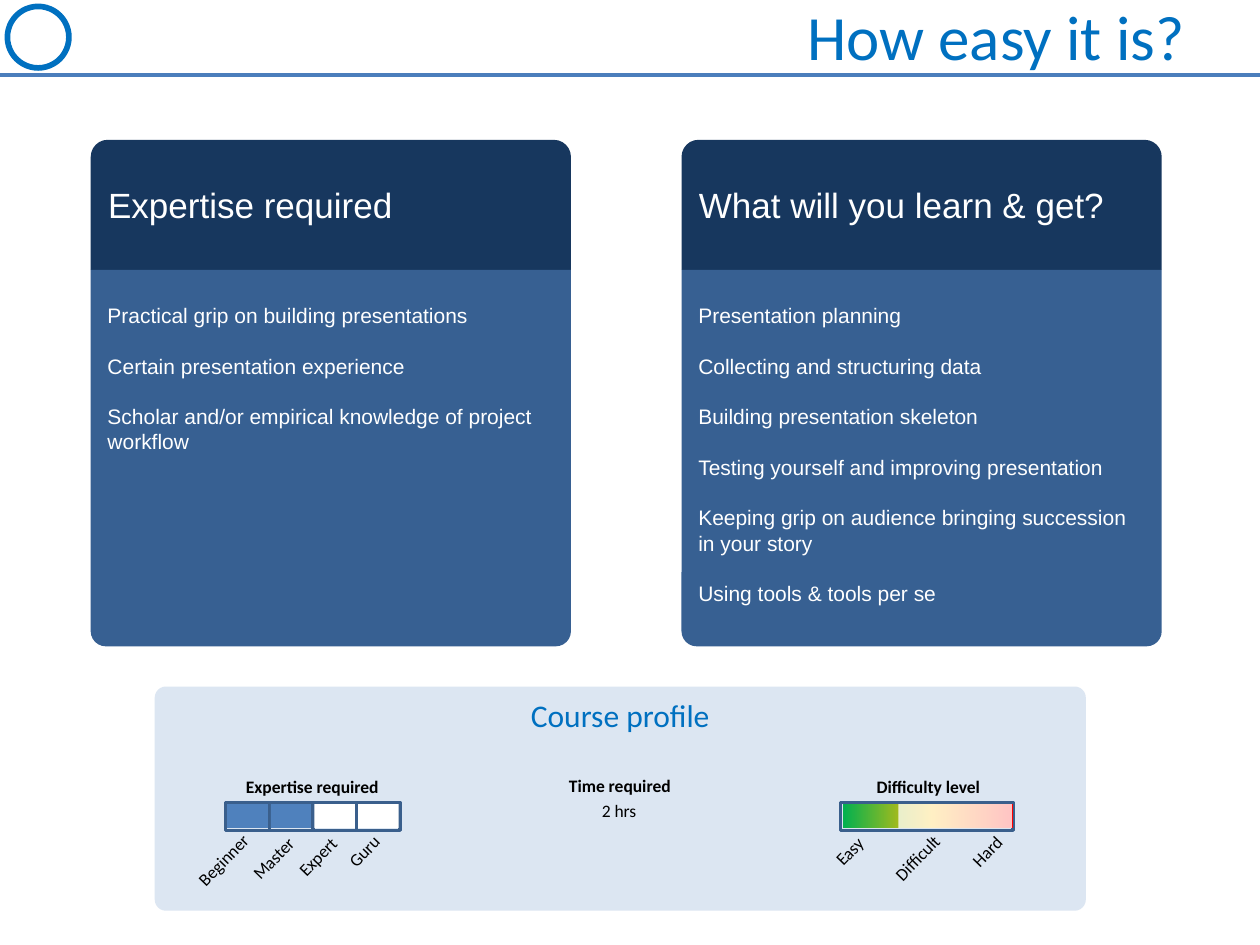
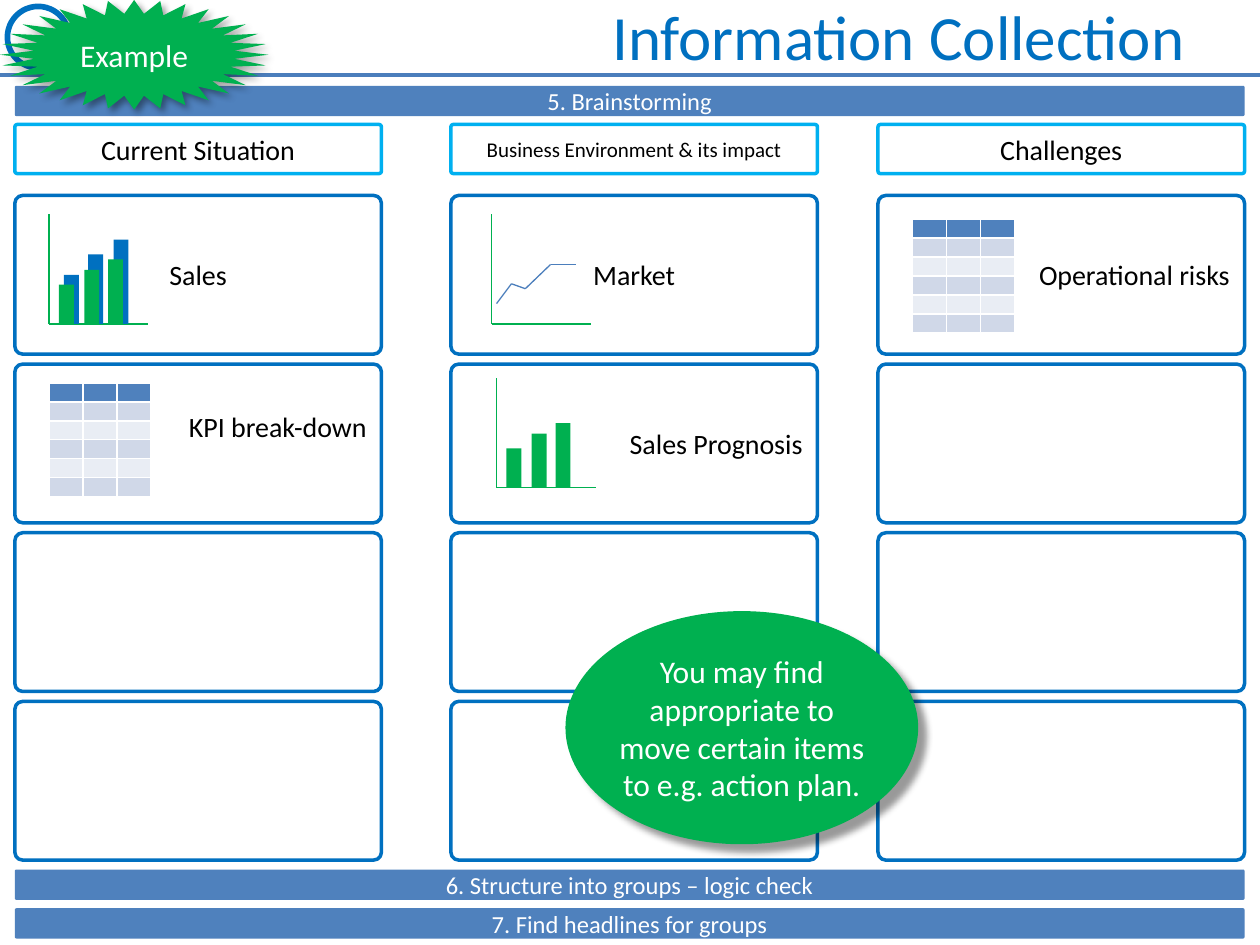
from lxml import etree
from pptx import Presentation
from pptx.dml.color import RGBColor
from pptx.enum import shapes, text
from pptx.oxml.ns import qn
from pptx.util import Cm, Pt

COLORS = {
    "title": "0070C0", "rule": "4B7EBC", "band": "4F81BD", "cyan": "00B0F0",
    "green": "00B050", "navy": "17375E", "steel": "376092", "edge": "3A5F8C",
    "panel": "DCE6F2", "white": "FFFFFF", "black": "000000",
    "amber": "FFC000", "red": "FF0000", "row_dark": "D0D8E8", "row_light": "E9EDF4",
}
FORM = shapes.MSO_SHAPE
LEFT, CENTER, RIGHT = text.PP_ALIGN.LEFT, text.PP_ALIGN.CENTER, text.PP_ALIGN.RIGHT
TOP, MIDDLE = text.MSO_ANCHOR.TOP, text.MSO_ANCHOR.MIDDLE


def block(slide, form, box, fill=None, line=None, width=2, adjust=()):
    """Add a preset shape; box is left, top, width, height in cm."""
    shape = slide.shapes.add_shape(form, *map(Cm, box))
    shape.shadow.inherit = False
    if fill:
        shape.fill.solid()
        shape.fill.fore_color.rgb = RGBColor.from_string(COLORS[fill])
    else:
        shape.fill.background()
    if line:
        shape.line.color.rgb = RGBColor.from_string(COLORS[line])
        shape.line.width = Pt(width)
    else:
        shape.line.fill.background()
    for index, value in enumerate(adjust):
        shape.adjustments[index] = value
    return shape


def write(shape, lines, size, color="black", align=CENTER, anchor=MIDDLE,
          font="Calibri", bold=False, wrap=True, gap=0):
    frame = shape.text_frame
    frame.word_wrap = wrap
    frame.vertical_anchor = anchor
    frame.text = "\n".join(lines)
    for paragraph in frame.paragraphs:
        paragraph.alignment = align
        paragraph.space_after = Pt(gap)
        paragraph.font.name = font
        paragraph.font.size = Pt(size)
        paragraph.font.bold = bold
        paragraph.font.color.rgb = RGBColor.from_string(COLORS[color])
    return frame


prs = Presentation()
prs.slide_width, prs.slide_height = Cm(25.4), Cm(19.05)
ease, collection = [prs.slides.add_slide(prs.slide_layouts[6]) for _ in range(2)]

# Header rules, chart axes and market trend
AXIS_HEIGHT, AXIS_WIDTH = 2.21, 2
sales_axis, market_axis, prognosis_axis = (0.99, 6.53), (9.91, 6.53), (10.01, 9.83)
strokes = [(slide, (0, 1.52), (25.4, 1.52), "rule", 2.25) for slide in (ease, collection)]
for x, y in (sales_axis, market_axis, prognosis_axis):
    strokes.append((collection, (x, y - AXIS_HEIGHT), (x, y), "green", 0.75))
    strokes.append((collection, (x, y), (x + AXIS_WIDTH, y), "green", 0.75))
trend = [(10.01, 6.12), (10.31, 5.72), (10.59, 5.82), (11.1, 5.33), (11.61, 5.33)]
strokes += [(collection, a, b, "rule", 0.75) for a, b in zip(trend, trend[1:])]
for slide, start, end, color, width in strokes:
    stroke = slide.shapes.add_connector(shapes.MSO_CONNECTOR.STRAIGHT, *map(Cm, start + end))
    stroke.line.color.rgb = RGBColor.from_string(COLORS[color])
    stroke.line.width = Pt(width)
    etree.SubElement(stroke._element.spPr, qn("a:effectLst"))

# Emblem and title
for slide, title in ((ease, "How easy it is?"), (collection, "Information Collection")):
    block(slide, FORM.OVAL, (0.15, 0.13, 1.24, 1.24), line="title", width=3.25)
    heading = slide.shapes.add_textbox(Cm(1.27), Cm(-0.08), Cm(22.86), Cm(1.6))
    write(heading, [title], 36, "title", RIGHT)

# Slide 1: two cards
cards = [
    (1.83, "Expertise required", [
        "Practical grip on building presentations",
        "Certain presentation experience",
        "Scholar and/or empirical knowledge of project workflow"]),
    (13.74, "What will you learn & get?", [
        "Presentation planning",
        "Collecting and structuring data",
        "Building presentation skeleton",
        "Testing yourself and improving presentation",
        "Keeping grip on audience bringing succession in your story",
        "Using tools & tools per se"]),
]
for left, headline, points in cards:
    head = block(ease, FORM.ROUND_2_SAME_RECTANGLE, (left, 2.82, 9.68, 2.62), "navy",
                 adjust=(0.13, 0))
    write(head, [headline], 20, "white", LEFT, font="Arial").margin_top = 0
    body = block(ease, FORM.ROUND_2_SAME_RECTANGLE, (left, 5.44, 9.68, 7.59), "steel",
                 adjust=(0, 0.04))
    write(body, points, 12, "white", LEFT, TOP, "Arial", gap=14.5).margin_top = Cm(0.66)

# Course profile panel
profile = block(ease, FORM.ROUNDED_RECTANGLE, (3.12, 13.84, 18.77, 4.52), "panel",
                adjust=(0.05,))
write(profile, ["Course profile"], 18, "title", anchor=TOP)

captions = [
    ("Expertise required", 4.57, 15.52, 3.45, True),
    ("Time required", 11.1, 15.49, 2.79, True),
    ("2 hrs", 11.58, 16, 1.8, False),
    ("Difficulty level", 16.99, 15.52, 3.45, True),
]
for caption, left, top, width, bold in captions:
    note = ease.shapes.add_textbox(Cm(left), Cm(top), Cm(width), Cm(0.69))
    write(note, [caption], 10, anchor=TOP, bold=bold)

# Expertise steps
for step, fill in enumerate(("band", "band", "white", "white")):
    left = 4.55 + 0.88 * step
    block(ease, FORM.RECTANGLE, (left, 16.18, 0.88, 0.56), line="edge")
    block(ease, FORM.RECTANGLE, (left + 0.03, 16.21, 0.82, 0.48), fill)

# Difficulty scale, faded beyond the reached level
block(ease, FORM.RECTANGLE, (16.94, 16.18, 3.48, 0.56), line="edge")
scale = block(ease, FORM.RECTANGLE, (16.99, 16.21, 3.43, 0.48))
scale.fill.gradient()
scale.fill.gradient_angle = 0
stops = scale._element.spPr.find(qn("a:gradFill")).find(qn("a:gsLst"))
stops.clear()
for position, color in ((0, "green"), (52, "amber"), (100, "red")):
    stop = etree.SubElement(stops, qn("a:gs"), pos=str(position * 1000))
    etree.SubElement(stop, qn("a:srgbClr"), val=COLORS[color])
veil = block(ease, FORM.RECTANGLE, (18.11, 16.21, 2.29, 0.48), "white")
veil_color = veil._element.spPr.find(qn("a:solidFill"))[0]
etree.SubElement(veil_color, qn("a:alpha"), val="77000")

# Slanted scale labels
scale_labels = [
    ("Beginner", 3.61, 16.99, 1.8), ("Master", 4.75, 16.94, 1.55),
    ("Expert", 5.69, 16.92, 1.45), ("Guru", 6.73, 16.81, 1.24),
    ("Easy", 16.56, 16.81, 1.14), ("Difficult", 17.68, 16.94, 1.65),
    ("Hard", 19.3, 16.81, 1.22),
]
for label, left, top, width in scale_labels:
    slanted = ease.shapes.add_textbox(Cm(left), Cm(top), Cm(width), Cm(0.69))
    slanted.rotation = 314.1
    write(slanted, [label], 10, align=LEFT, anchor=TOP, wrap=False)

# Slide 2: step bands
bands = [(1.73, "5. Brainstorming"), (17.53, "6. Structure into groups – logic check"),
         (18.31, "7. Find headlines for groups")]
for top, step in bands:
    band = block(collection, FORM.ROUNDED_RECTANGLE, (0.3, top, 24.79, 0.61), "band",
                 adjust=(0.05,))
    write(band, [step], 14, "white")

# Bars of the small charts
front_bars = [(0.2, 0.79), (0.71, 1.09), (1.19, 1.3)]
back_bars = [(0.3, 0.99), (0.79, 1.4), (1.3, 1.7)]
for (x, y), bars, color in ((sales_axis, back_bars, "title"),
                            (sales_axis, front_bars, "green"),
                            (prognosis_axis, front_bars, "green")):
    for offset, height in bars:
        block(collection, FORM.RECTANGLE, (x + offset, y - height, 0.3, height), color)

# Topic columns: heading, heading size, filled cards
columns = [
    (0.3, "Current Situation", 16, [("Sales", CENTER), ("KPI break-down", RIGHT)]),
    (9.09, "Business Environment & its impact", 12,
     [("Market", CENTER), ("Sales Prognosis", RIGHT)]),
    (17.7, "Challenges", 16, [("Operational risks", RIGHT)]),
]
for left, topic, size, items in columns:
    head = block(collection, FORM.ROUNDED_RECTANGLE, (left, 2.51, 7.39, 0.99), line="cyan",
                 adjust=(0.05,))
    write(head, [topic], size)
    for row in range(4):
        card = block(collection, FORM.ROUNDED_RECTANGLE, (left, 3.94 + 3.4 * row, 7.39, 3.2),
                     line="title", adjust=(0.05,))
        if row < len(items):
            item, align = items[row]
            frame = write(card, [item], 16, align=align)
            if item == "KPI break-down":
                frame.margin_bottom = Cm(0.81)

# Small tables
for left, top in ((0.99, 7.72), (18.39, 4.42)):
    grid = collection.shapes.add_table(6, 3, Cm(left), Cm(top), Cm(2.06), Cm(2.29)).table
    for row_index, row in enumerate(grid.rows):
        fill = "band" if row_index == 0 else ("row_light", "row_dark")[row_index % 2]
        for cell in row.cells:
            cell.fill.solid()
            cell.fill.fore_color.rgb = RGBColor.from_string(COLORS[fill])
            cell.margin_top = cell.margin_bottom = 0
            etree.SubElement(cell.text_frame.paragraphs[0]._p, qn("a:endParaRPr"), sz="100")

# Callouts with a soft shadow
example = block(collection, FORM.STAR_32_POINT, (0, 0, 5.41, 2.21), "green")
write(example, ["Example"], 18, "white")
advice = block(collection, FORM.FLOWCHART_CONNECTOR, (11.4, 12.32, 7.11, 4.7), "green")
advice_frame = write(
    advice, ["You may find appropriate to move certain items to e.g. action plan."], 18, "white")
advice_frame.margin_left = advice_frame.margin_right = 0
for callout, distance in ((example, 3), (advice, 7)):
    effects = callout._element.spPr.find(qn("a:effectLst"))
    shadow = etree.SubElement(effects, qn("a:outerShdw"), blurRad=str(Pt(4)),
                              dist=str(Pt(distance)), dir="2700000", algn="tl", rotWithShape="0")
    shade = etree.SubElement(shadow, qn("a:srgbClr"), val=COLORS["black"])
    etree.SubElement(shade, qn("a:alpha"), val="40000")

prs.save("out.pptx")
